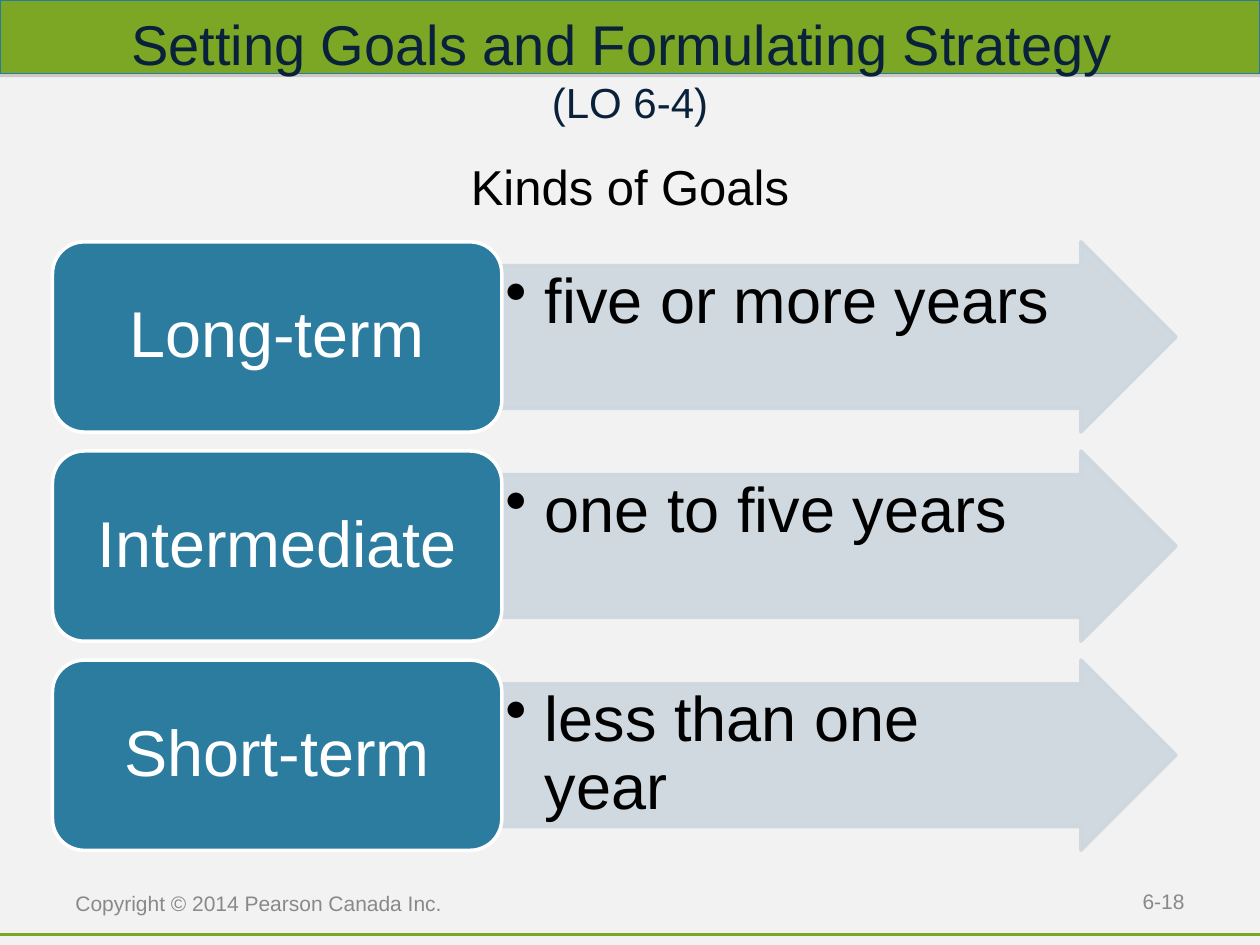
import lxml.etree
import pptx
import pptx.dml.color
import pptx.enum.shapes
import pptx.enum.text
import pptx.oxml.ns
import pptx.util

Pt = pptx.util.Pt
SHAPE = pptx.enum.shapes.MSO_SHAPE
ALIGN = pptx.enum.text.PP_ALIGN
ANCHOR = pptx.enum.text.MSO_ANCHOR
qn = pptx.oxml.ns.qn

HEADING = ("Setting Goals and Formulating Strategy ", "(LO 6-4)")
SUBHEADING = "Kinds of Goals"
GOALS = [
    ("Long-term", "five or more years"),
    ("Intermediate", "one to five years"),
    ("Short-term", "less than one year"),
]
COPYRIGHT = "Copyright © 2014 Pearson Canada Inc."
PAGE = "6-18"

THEME = {
    "font": "Arial",
    "background": "F2F2F2", "green": "7CA724", "bar_edge": "287A9E",
    "navy": "09213B", "black": "000000", "grey": "898989", "white": "FFFFFF",
    "goal": "2C7C9F", "arrow": "CDD7DF", "shadow": "808080",
    "heading": 32, "reference": 24, "subheading": 28, "footer": 12,
    "goal_text": 37, "span_text": 36,
}

WIDTH, HEIGHT = 720, 540
GOAL_LEFT, GOAL_WIDTH, ARROW_WIDTH = 30, 256.8, 385.2
ROW_TOP, ROW_HEIGHT, ROW_PITCH = 138.2, 108.7, 119.5
HANG = 22.5


def colour(key):
    return pptx.dml.color.RGBColor.from_string(THEME[key])


def assign(target, **values):
    for key, value in values.items():
        setattr(target, key, value)


def add_alpha(fill_owner, percent):
    for rgb in fill_owner.iter(qn("a:srgbClr")):
        lxml.etree.SubElement(rgb, qn("a:alpha"), val=str(percent * 1000))


def add_effects(shape):
    return lxml.etree.SubElement(shape._element.spPr, qn("a:effectLst"))


def write(shape, runs, align, anchor, insets, spacing=None, bullet=False):
    """Fill one paragraph with (text, size, colour) runs, a line break between them."""
    frame = shape.text_frame
    left, top, right, bottom = insets
    assign(frame, word_wrap=True, auto_size=pptx.enum.text.MSO_AUTO_SIZE.NONE,
           vertical_anchor=anchor, margin_left=Pt(left), margin_top=Pt(top),
           margin_right=Pt(right), margin_bottom=Pt(bottom))
    paragraph = frame.paragraphs[0]
    assign(paragraph, alignment=align, line_spacing=spacing)
    if bullet:
        properties = paragraph._p.get_or_add_pPr()
        properties.set("marL", str(Pt(HANG)))
        properties.set("indent", str(-Pt(HANG)))
        lxml.etree.SubElement(properties, qn("a:buChar"), char="•")
    for index, (text, size, ink) in enumerate(runs):
        if index:
            paragraph.add_line_break()
        run = paragraph.add_run()
        run.text = text
        assign(run.font, name=THEME["font"], size=Pt(THEME[size]))
        run.font.color.rgb = colour(ink)


def add_block(slide, kind, box, fill, line, line_width):
    block = slide.shapes.add_shape(kind, *map(Pt, box))
    block.shadow.inherit = False
    block.fill.solid()
    block.fill.fore_color.rgb = colour(fill)
    block.line.color.rgb = colour(line)
    block.line.width = Pt(line_width)
    return block


def add_label(slide, box, text, size, ink, align, anchor):
    label = slide.shapes.add_textbox(*map(Pt, box))
    write(label, [(text, size, ink)], align, anchor, (7.2, 3.6, 7.2, 3.6))


def add_frame(slide):
    rule = slide.shapes.add_connector(
        pptx.enum.shapes.MSO_CONNECTOR.STRAIGHT, 0, Pt(534), Pt(WIDTH), Pt(534))
    rule.line.color.rgb = colour("green")
    rule.line.width = Pt(2)
    add_effects(rule)

    bar = add_block(slide, SHAPE.RECTANGLE, (0, 0, WIDTH, 42), "green", "bar_edge", 0.75)
    effects = bar._element.spPr.find(qn("a:effectLst"))
    shadow = lxml.etree.SubElement(effects, qn("a:outerShdw"), dist=str(Pt(1.8)),
                                   dir="5400000", rotWithShape="0")
    lxml.etree.SubElement(shadow, qn("a:srgbClr"), val=THEME["shadow"])
    add_alpha(shadow, 35)


def add_heading(slide):
    title = slide.shapes.title
    assign(title, left=0, top=0, width=Pt(WIDTH), height=Pt(78))
    write(title, [(HEADING[0], "heading", "navy"), (HEADING[1], "reference", "navy")],
          ALIGN.CENTER, ANCHOR.MIDDLE, (18, 18, 18, 18))
    title.element.getparent().append(title.element)  # in front of the bar


def add_goal(slide, row, goal, span):
    top = ROW_TOP + row * ROW_PITCH
    arrow = add_block(slide, SHAPE.RIGHT_ARROW,
                      (GOAL_LEFT + GOAL_WIDTH, top, ARROW_WIDTH, ROW_HEIGHT),
                      "arrow", "arrow", 2)
    arrow.adjustments[0] = 0.75
    arrow.adjustments[1] = 0.5
    add_alpha(arrow._element.spPr, 90)
    write(arrow, [(span, "span_text", "black")], ALIGN.LEFT, ANCHOR.TOP,
          (2, 2, 28, 2), 0.9, bullet=True)

    card = add_block(slide, SHAPE.ROUNDED_RECTANGLE,
                     (GOAL_LEFT, top, GOAL_WIDTH, ROW_HEIGHT), "goal", "white", 2)
    write(card, [(goal, "goal_text", "white")], ALIGN.CENTER, ANCHOR.MIDDLE,
          (11, 5.5, 11, 5.5), 0.9)


def main():
    deck = pptx.Presentation()
    assign(deck, slide_width=Pt(WIDTH), slide_height=Pt(HEIGHT))
    slide = deck.slides.add_slide(deck.slide_layouts.get_by_name("Title Only"))
    slide.background.fill.solid()
    slide.background.fill.fore_color.rgb = colour("background")

    add_frame(slide)
    add_heading(slide)
    add_label(slide, (30, 86, 660, 54), SUBHEADING, "subheading", "black",
              ALIGN.CENTER, ANCHOR.TOP)
    add_label(slide, (516, 500.5, 168, 29), PAGE, "footer", "grey",
              ALIGN.RIGHT, ANCHOR.MIDDLE)
    add_label(slide, (36, 492, 228, 48), COPYRIGHT, "footer", "grey",
              ALIGN.LEFT, ANCHOR.MIDDLE)
    for row, (goal, span) in enumerate(GOALS):
        add_goal(slide, row, goal, span)
    deck.save("out.pptx")


if __name__ == "__main__":
    main()
